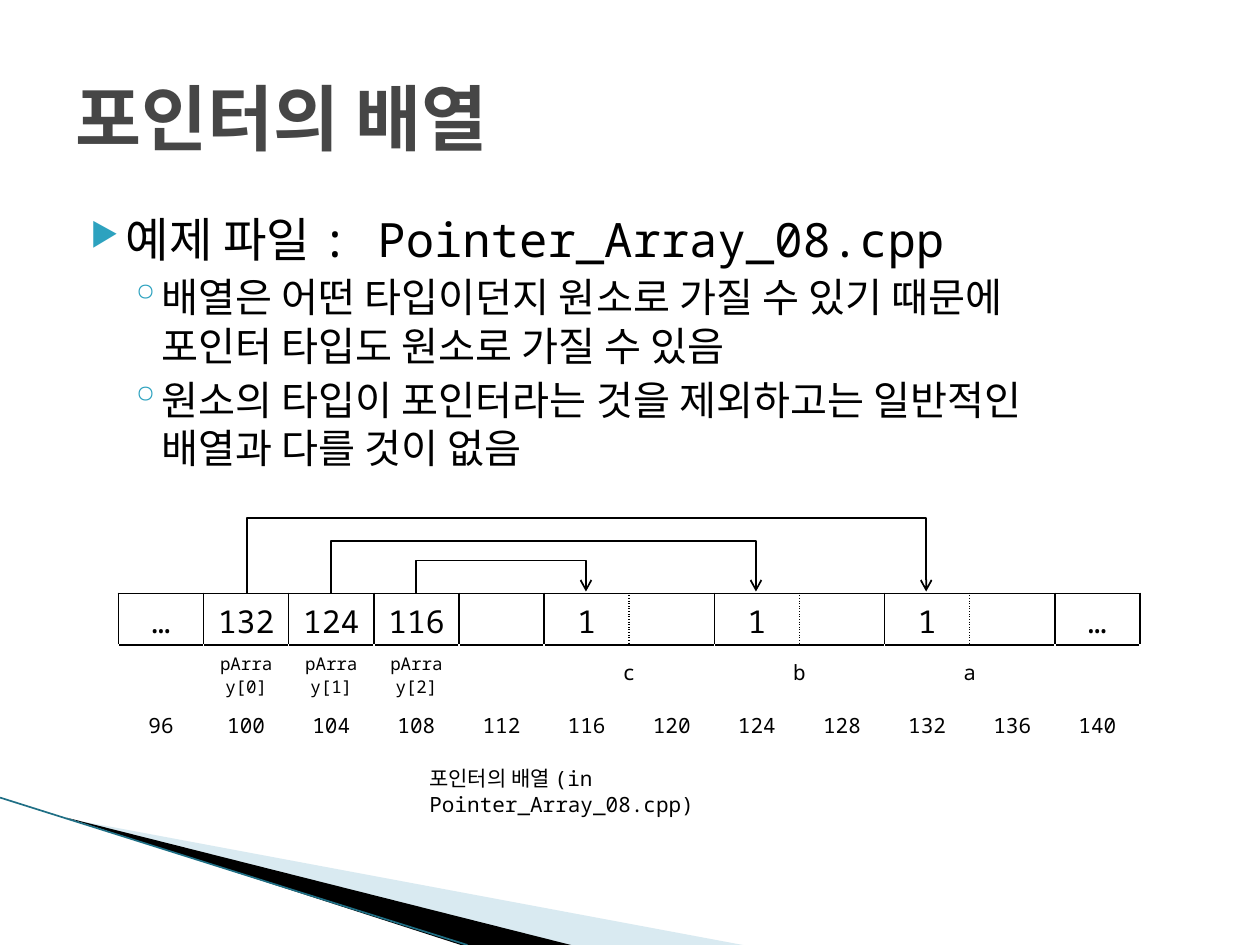
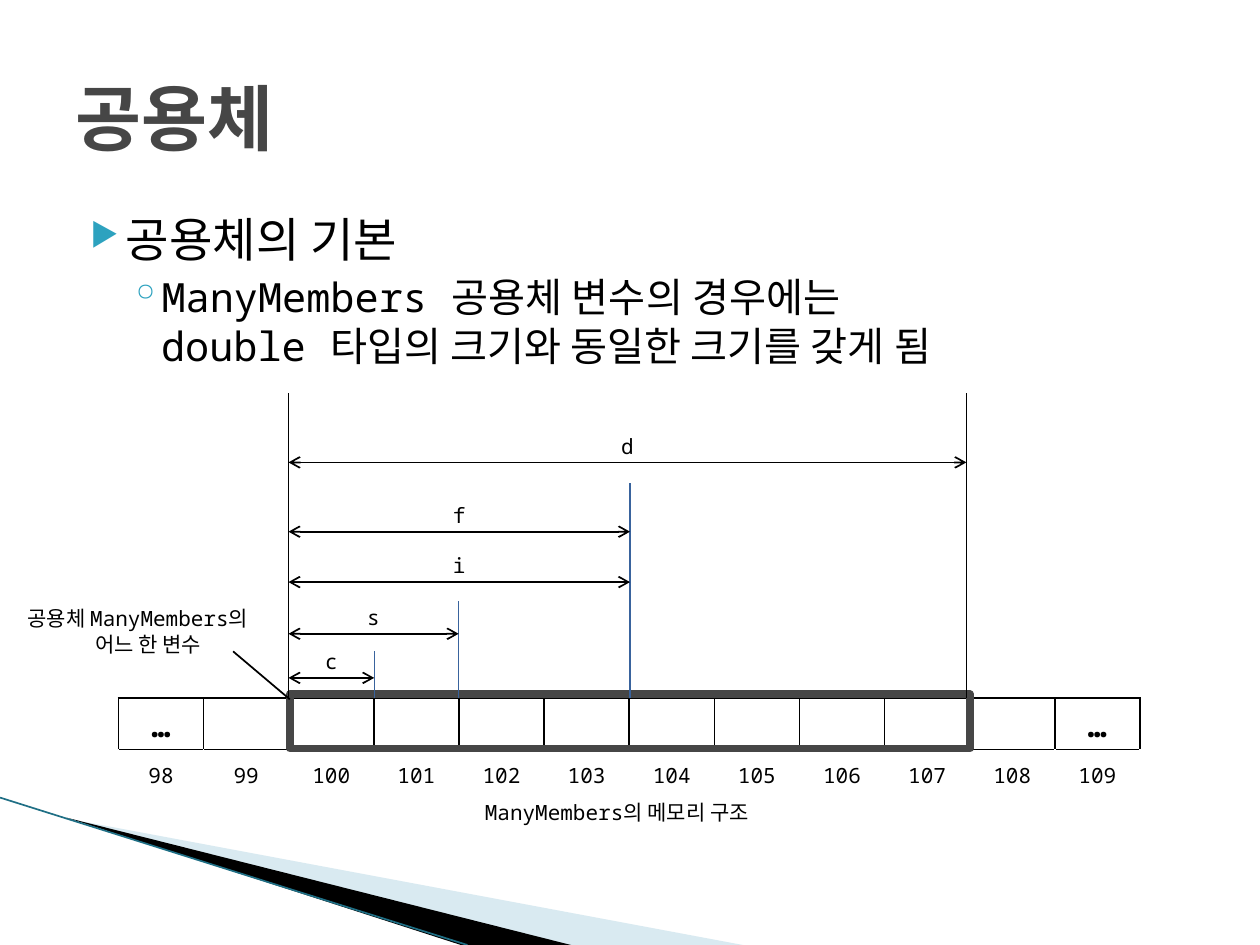
from pptx import Presentation
from pptx.util import Inches, Pt
from pptx.dml.color import RGBColor
from pptx.enum.shapes import MSO_CONNECTOR, MSO_SHAPE
from pptx.enum.text import MSO_ANCHOR, PP_ALIGN
from pptx.oxml import parse_xml
from pptx.oxml.ns import nsdecls, qn
from lxml.etree import SubElement

FONT = "Noto Sans Mono"
BLACK, GREY, TEAL, BLUE = "000000", "464646", "2DA2BF", "39639D"
colour = RGBColor.from_string


def write(frame, text, size=12, color=BLACK, bold=False, align=PP_ALIGN.LEFT,
          anchor=MSO_ANCHOR.TOP, more=False):
    """Put one paragraph in a frame; more adds it after those already there."""
    frame.word_wrap = True
    frame.vertical_anchor = anchor
    para = frame.add_paragraph() if more else frame.paragraphs[0]
    para.text = text
    para.alignment = align
    for run in para.runs:
        run.font.name = FONT
        run.font.size = Pt(size)
        run.font.bold = bold
        run.font.color.rgb = colour(color)
    return para


def draw(slide, x1, y1, x2, y2, color=BLACK, width=1, ends=(),
         kind=MSO_CONNECTOR.STRAIGHT):
    """Draw a connector with open arrowheads at the named ends."""
    link = slide.shapes.add_connector(
        kind, Inches(x1), Inches(y1), Inches(x2), Inches(y2))
    link.line.color.rgb = colour(color)
    link.line.width = Pt(width)
    for end in ends:
        SubElement(link.line._ln, qn("a:" + end), type="arrow")
    SubElement(link._element.spPr, qn("a:effectLst"))
    return link


deck = Presentation()
deck.slide_width, deck.slide_height = Inches(10), Inches(7.5)

# Wording: title, body (level, text), table top, table rows, bold first row
pages = [
    ("포인터의 배열",
     [(0, "예제 파일 : Pointer_Array_08.cpp"),
      (1, "배열은 어떤 타입이던지 원소로 가질 수 있기 때문에\n"
          "포인터 타입도 원소로 가질 수 있음"),
      (1, "원소의 타입이 포인터라는 것을 제외하고는 일반적인\n"
          "배열과 다를 것이 없음")],
     4.71,
     [["…", "132", "124", "116", "", "1", "", "1", "", "1", "", "…"],
      ["", "pArray[0]", "pArray[1]", "pArray[2]", "", "c", "", "b", "", "a", "", ""],
      [str(n) for n in range(96, 141, 4)]],
     False),
    ("공용체",
     [(0, "공용체의 기본"),
      (1, "ManyMembers 공용체 변수의 경우에는\n"
          "double 타입의 크기와 동일한 크기를 갖게 됨")],
     5.54,
     [["…"] + [""] * 10 + ["…"],
      [str(n) for n in range(98, 110)]],
     True),
]
wedges = [
    ("A0CBDC", 40, [(0.55, 6.5), (5.95, 7.51), (4.56, 7.51)]),
    (BLACK, 100, [(0.53, 6.49), (4.57, 7.51), (3.72, 7.52)]),
]
# Bullet styles by level: sign, text size, bullet percent, margin, indent, space
levels = [("▶", 27, 68, 0.4, -0.28, 4), ("◦", 23, 100, 0.68, -0.25, 3.2)]
LEFT, WIDE, COUNT = 0.94, 8.11, 12
STEP = WIDE / COUNT

slides = []
for title, body, top, rows, strong in pages:
    slide = deck.slides.add_slide(deck.slide_layouts[6])
    slides.append(slide)

    # Corner wedges
    for color, alpha, points in wedges:
        spots = [(Inches(x), Inches(y)) for x, y in points]
        pen = slide.shapes.build_freeform(*spots[0])
        pen.add_line_segments(spots[1:])
        wedge = pen.convert_to_shape()
        wedge.shadow.inherit = False
        wedge.line.fill.background()
        wedge.fill.solid()
        wedge.fill.fore_color.rgb = colour(color)
        tint = wedge._element.spPr.find(".//" + qn("a:srgbClr"))
        SubElement(tint, qn("a:alpha"), val=str(alpha * 1000))
    draw(slide, 0, 6.33, 3.71, 7.5, color="1F6F85", width=0.95)

    # Title and bullets
    box = slide.shapes.add_textbox(Inches(0.5), Inches(0.3), Inches(9), Inches(1.25))
    write(box.text_frame, title, size=41, color=GREY, bold=True,
          anchor=MSO_ANCHOR.MIDDLE)
    box = slide.shapes.add_textbox(Inches(0.5), Inches(1.62), Inches(9), Inches(2.4))
    for i, (level, text) in enumerate(body):
        sign, size, part, margin, indent, space = levels[level]
        para = write(box.text_frame, text, size=size, more=i > 0)
        para.level = level
        para.space_before = Pt(space)
        props = para._p.get_or_add_pPr()
        props.set("marL", str(Inches(margin)))
        props.set("indent", str(Inches(indent)))
        tint = SubElement(props, qn("a:buClr"))
        SubElement(tint, qn("a:srgbClr"), val=TEAL)
        SubElement(props, qn("a:buSzPct"), val=str(part * 1000))
        SubElement(props, qn("a:buChar"), char=sign)

    # Memory table: boxed cells on top, labels and addresses below
    table = slide.shapes.add_table(
        len(rows), COUNT, Inches(LEFT), Inches(top), Inches(WIDE),
        Inches(0.41 * len(rows))).table
    table.first_row = table.horz_banding = False
    for r, row in enumerate(rows):
        table.rows[r].height = Inches(0.41)
        for c, text in enumerate(row):
            cell = table.cell(r, c)
            cell.fill.background()
            if text:
                size = 18 if r == 0 else 10 if "[" in text else 12
                write(cell.text_frame, text, size=size, align=PP_ALIGN.CENTER,
                      bold=strong and r == 0)
                cell.vertical_anchor = MSO_ANCHOR.MIDDLE
            sides = [["lnL", "lnR", "lnT", "lnB"], ["lnT"], []][r]
            for i, side in enumerate(sides):
                split = not strong and (side, c) in [
                    (s, n + k) for n in (5, 7, 9) for k, s in enumerate(("lnR", "lnL"))]
                dash = "sysDot" if split else "solid"
                edge = parse_xml(
                    f'<a:{side} {nsdecls("a")} w="12700"><a:solidFill>'
                    f'<a:srgbClr val="{BLACK}"/></a:solidFill>'
                    f'<a:prstDash val="{dash}"/></a:{side}>')
                cell._tc.get_or_add_tcPr().insert(i, edge)
    if not strong:
        for c in (5, 7, 9):
            table.cell(1, c).merge(table.cell(1, c + 1))

first, second = slides

# Pointer arrows: elbows turned a quarter, so the rise is a share of the thin side
THIN = 0.01
for x1, x2, rise in [(1.96, 7.35, 0.6), (2.63, 6, 0.42), (3.3, 4.65, 0.26)]:
    mid, half = (x1 + x2) / 2, (x2 - x1) / 2
    link = draw(first, mid + THIN / 2, 4.7 + half, mid - THIN / 2, 4.7 - half,
                ends=["tailEnd"], kind=MSO_CONNECTOR.ELBOW)
    props = link._element.spPr
    props.find(qn("a:xfrm")).set("rot", str(90 * 60000))
    shape = props.find(qn("a:prstGeom"))
    SubElement(shape.find(qn("a:avLst")), qn("a:gd"), name="adj1",
               fmla=f"val {round(rise / THIN * 100000)}")

# Outline of the union
frame = second.shapes.add_shape(
    MSO_SHAPE.RECTANGLE, Inches(2.3), Inches(5.51), Inches(5.4), Inches(0.43))
frame.shadow.inherit = False
frame.fill.background()
frame.line.color.rgb = colour(GREY)
frame.line.width = Pt(4.33)

# Upright guides
START = 2.29
for x, y, color, width in [(START, 3.12, BLACK, 1), (2.97, 5.17, BLUE, 0.75),
                           (3.64, 4.77, BLUE, 0.75), (5, 3.83, BLUE, 0.75),
                           (7.67, 3.12, BLACK, 1)]:
    draw(second, x, 5.54, x, y, color=color, width=width)

# Size of each member
for name, end, y in [("c", 2.97, 5.38), ("s", 3.64, 5.03), ("i", 5, 4.62),
                     ("f", 5, 4.22), ("d", 7.67, 3.67)]:
    draw(second, START, y, end, y, ends=["headEnd", "tailEnd"])
    box = second.shapes.add_textbox(
        Inches((START + end) / 2 - 0.15), Inches(y - 0.28), Inches(0.3), Inches(0.3))
    write(box.text_frame, name, align=PP_ALIGN.CENTER)

# Note on the variable
box = second.shapes.add_textbox(Inches(0.12), Inches(4.76), Inches(2.11), Inches(0.5))
write(box.text_frame, "공용체 ManyMembers의")
write(box.text_frame, "어느 한 변수", align=PP_ALIGN.CENTER, more=True)
draw(second, 2.3, 5.55, 1.85, 5.17)

# Captions
for slide, x, y, width, text in [
        (first, 3.31, 6.03, 3.37, "포인터의 배열 (in Pointer_Array_08.cpp)"),
        (second, 3.75, 6.3, 2.5, "ManyMembers의 메모리 구조")]:
    box = slide.shapes.add_textbox(Inches(x), Inches(y), Inches(width), Inches(0.3))
    write(box.text_frame, text)

deck.save("out.pptx")
